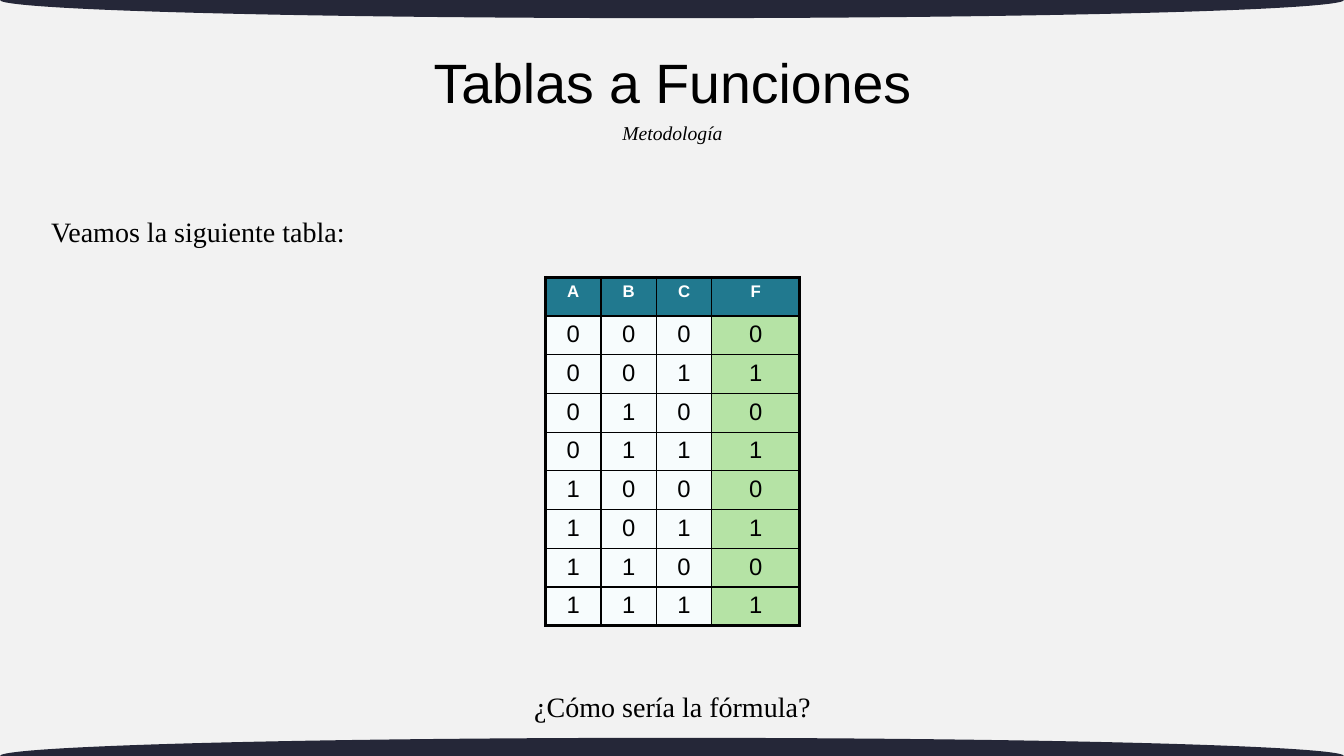
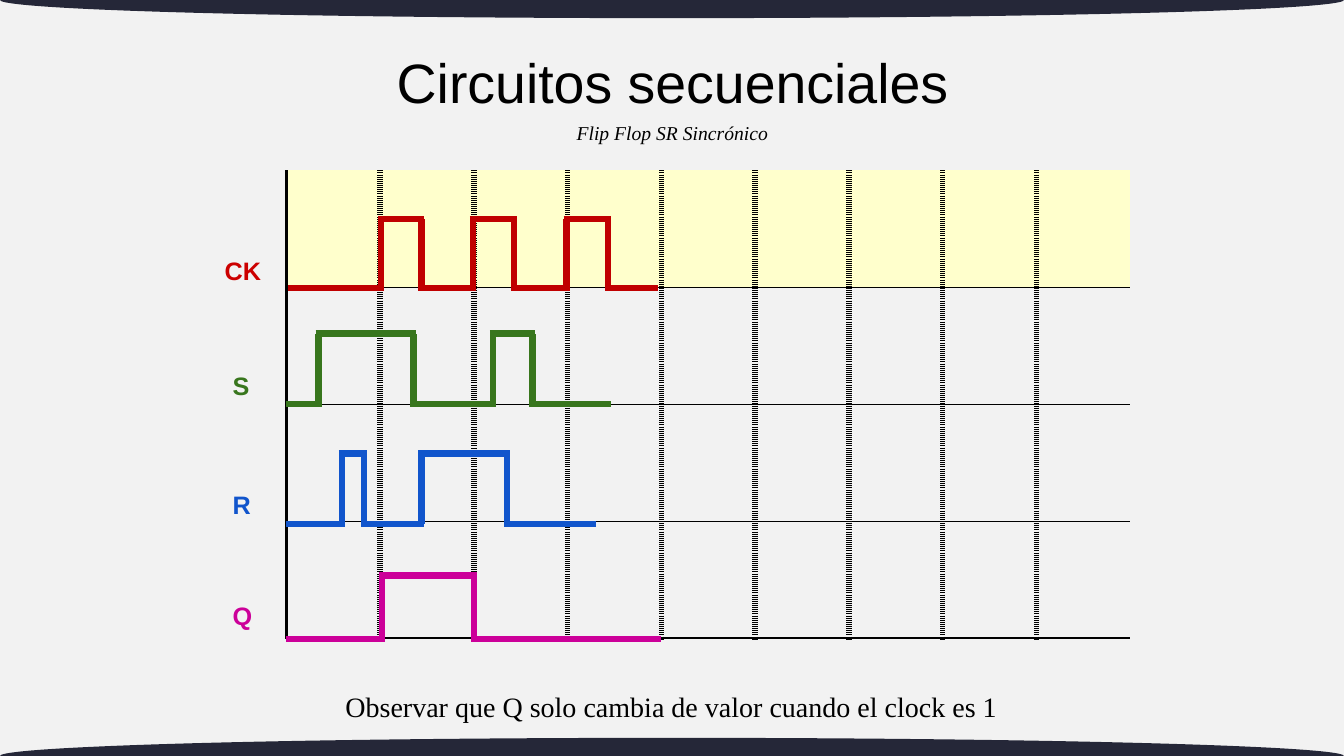
from itertools import product

from lxml import etree
from pptx import Presentation
from pptx.dml.color import RGBColor
from pptx.enum.shapes import MSO_CONNECTOR, MSO_SHAPE
from pptx.enum.text import MSO_ANCHOR, PP_ALIGN
from pptx.oxml.ns import qn
from pptx.util import Inches, Pt

STRAIGHT = MSO_CONNECTOR.STRAIGHT
OVAL = MSO_SHAPE.OVAL
TOP, MIDDLE = MSO_ANCHOR.TOP, MSO_ANCHOR.MIDDLE
LEFT, CENTER = PP_ALIGN.LEFT, PP_ALIGN.CENTER

SLIDE_W, SLIDE_H = 13.33, 7.5
BAND_H = 0.36
SANS, SERIF = "Arial", "Times New Roman"
COLORS = {
    "background": "F2F2F2", "band": "252738", "text": "000000",
    "header": "21798F", "header_text": "FFFFFF", "input": "F7FCFD",
    "output": "B5E3A5", "clock_row": "FFFFCC", "ck_label": "CC0000",
    "ck": "C00000", "s": "38761D", "r": "1155CC", "q": "CC0099",
}
THIN, THICK, DOTTED = (1, "solid"), (2.25, "solid"), (4.5, "dot")
NO_BORDER = None
WAVE_PT = 4.5
CORNER = 0.03

# name, label color, wave color, label offset, label width, low, high, start, edges, end
SIGNALS = (
    ("CK", "ck_label", "ck", (-0.71, 0.79), 0.56, 1.17, 0.48,
     0.02, (0.94, 1.34, 1.85, 2.26, 2.78, 3.19), 3.69),
    ("S", "s", "s", (-0.63, 1.93), 0.37, 2.32, 1.62,
     0, (0.32, 1.26, 2.05, 2.44), 3.22),
    ("R", "r", "r", (-0.63, 3.12), 0.38, 3.51, 2.81,
     0, (0.55, 0.77, 1.34, 2.19), 3.07),
    ("Q", "q", "q", (-0.63, 4.22), 0.4, 4.65, 4.02,
     0, (0.95, 1.86), 3.72),
)


def color(name):
    """Return the palette color with this name."""
    return RGBColor.from_string(COLORS[name])


def write(frame, text, size, font=SANS, ink="text", align=LEFT, bold=False,
          italic=False, spacing=None):
    """Write one styled run in the first paragraph of a text frame."""
    paragraph = frame.paragraphs[0]
    paragraph.alignment = align
    if spacing:
        paragraph.line_spacing = spacing
    run = paragraph.add_run()
    run.text = text
    run.font.name, run.font.size = font, Pt(size)
    run.font.bold, run.font.italic = bold, italic
    run.font.color.rgb = color(ink)


def add_text(slide, box, text, size, inset=0.05, anchor=TOP, wrap=True, **style):
    """Add a text box at (left, top, width, height) in inches."""
    frame = slide.shapes.add_textbox(*map(Inches, box)).text_frame
    frame.word_wrap = wrap
    frame.vertical_anchor = anchor
    frame.margin_left = frame.margin_right = Inches(0.1)
    frame.margin_top = frame.margin_bottom = Inches(inset)
    write(frame, text, size, **style)


def add_body(slide, box, text, align=CENTER):
    """Add a line of body text."""
    add_text(slide, box, text, 20, inset=0.1, font=SERIF, align=align, spacing=1.5)


def add_frame(prs, title, subtitle):
    """Add a slide with its two bands, title and subtitle."""
    slide = prs.slides.add_slide(prs.slide_layouts[6])
    for edge in (0, SLIDE_H):
        band = slide.shapes.add_shape(
            OVAL, 0, Inches(edge - BAND_H / 2), Inches(SLIDE_W), Inches(BAND_H))
        band.shadow.inherit = False
        band.fill.solid()
        band.fill.fore_color.rgb = color("band")
        band.line.fill.background()
    add_text(slide, (3.51, 0.38, 6.32, 0.94), title, 39.6, anchor=MIDDLE,
             align=CENTER, spacing=0.9)
    add_text(slide, (4.4, 1.15, 4.54, 0.34), subtitle, 14, font=SERIF,
             align=CENTER, italic=True)
    return slide


def set_borders(cell, left, right, top, bottom):
    """Set the four borders of a cell, before its fill."""
    properties = cell._tc.get_or_add_tcPr()
    for side, border in zip("LRTB", (left, right, top, bottom)):
        line = etree.SubElement(properties, qn(f"a:ln{side}"))
        if border is NO_BORDER:
            line.set("w", "0")
            etree.SubElement(line, qn("a:noFill"))
            continue
        width, dash = border
        line.set("w", str(Pt(width)))
        fill = etree.SubElement(line, qn("a:solidFill"))
        etree.SubElement(fill, qn("a:srgbClr"), val=COLORS["text"])
        etree.SubElement(line, qn("a:prstDash"), val=dash)


def set_fill(cell, name):
    """Fill a cell, or leave it clear when no color is named."""
    if name:
        cell.fill.solid()
        cell.fill.fore_color.rgb = color(name)
    else:
        cell.fill.background()


def add_grid(slide, left, top, widths, row_height, row_count):
    """Add an unstyled table with the given columns and equal rows."""
    grid = slide.shapes.add_table(
        row_count, len(widths), Inches(left), Inches(top),
        Inches(sum(widths)), Inches(row_height * row_count)).table
    grid.first_row = grid.horz_banding = False
    for column, width in zip(grid.columns, widths):
        column.width = Inches(width)
    for row in grid.rows:
        row.height = Inches(row_height)
    return grid


def add_truth_table(slide, left, top):
    """Add the truth table whose output F follows input C."""
    rows = [tuple("ABCF")] + [(a, b, c, c) for a, b, c in product((0, 1), repeat=3)]
    grid = add_grid(slide, left, top, (0.55, 0.55, 0.55, 0.87), 3.46 / 9, len(rows))
    last_row, last_col = len(rows) - 1, 3
    for r, values in enumerate(rows):
        for c, value in enumerate(values):
            cell = grid.cell(r, c)
            set_borders(cell, THICK if c == 0 else THIN,
                        THICK if c == last_col else THIN,
                        THICK if r == 0 else THIN,
                        THICK if r == last_row else THIN)
            if r == 0:
                set_fill(cell, "header")
                write(cell.text_frame, value, 12, ink="header_text",
                      align=CENTER, bold=True)
            else:
                set_fill(cell, "output" if c == last_col else "input")
                write(cell.text_frame, str(value), 17, align=CENTER)


def add_time_grid(slide, left, top):
    """Add the grid of clock periods behind the signals."""
    periods, signals = 9, len(SIGNALS)
    grid = add_grid(slide, left, top, (0.93,) * periods, 1.16, signals)
    for r, c in product(range(signals), range(periods)):
        cell = grid.cell(r, c)
        set_borders(cell, THICK if c == 0 else DOTTED,
                    NO_BORDER if c == periods - 1 else DOTTED,
                    NO_BORDER if r == 0 else THIN,
                    THICK if r == signals - 1 else THIN)
        set_fill(cell, "clock_row" if r == 0 else None)


def add_segment(slide, ink, x1, y1, x2, y2):
    """Add one straight piece of a signal."""
    segment = slide.shapes.add_connector(STRAIGHT, *map(Inches, (x1, y1, x2, y2)))
    segment.line.color.rgb = color(ink)
    segment.line.width = Pt(WAVE_PT)
    etree.SubElement(segment._element.spPr, qn("a:effectLst"))


def add_wave(slide, left, ink, low, high, start, edges, end):
    """Draw a signal that starts low and toggles at each edge."""
    stops = (start, *edges, end)
    for i, (x1, x2) in enumerate(zip(stops, stops[1:])):
        level = high if i % 2 else low
        before = CORNER if i else 0
        after = CORNER if i < len(edges) else 0
        add_segment(slide, ink, left + x1 - before, level, left + x2 + after, level)
    for x in edges:
        add_segment(slide, ink, left + x, low, left + x, high)


def add_timing_diagram(slide, left, top):
    """Add the grid, labels and waves of the timing diagram."""
    add_time_grid(slide, left, top)
    for name, label_ink, ink, (dx, dy), width, low, high, start, edges, end in SIGNALS:
        add_text(slide, (left + dx, top + dy, width, 0.4), name, 18,
                 wrap=False, ink=label_ink, bold=True)
        add_wave(slide, left, ink, top + low, top + high, start, edges, end)


def build_table_slide(prs):
    """Build the slide that goes from a table to a function."""
    slide = add_frame(prs, "Tablas a Funciones", "Metodología")
    add_body(slide, (0.41, 1.86, 11.94, 0.52), "Veamos la siguiente tabla:", LEFT)
    add_truth_table(slide, 5.41, 2.75)
    add_body(slide, (0.7, 6.57, 11.94, 0.52), "¿Cómo sería la fórmula?")


def build_timing_slide(prs):
    """Build the slide of the clocked flip-flop."""
    slide = add_frame(prs, "Circuitos secuenciales", "Flip Flop SR Sincrónico")
    add_timing_diagram(slide, 2.84, 1.69)
    add_body(slide, (0.56, 6.57, 12.2, 0.56),
             "Observar que Q solo cambia de valor cuando el clock es 1")


def main():
    """Build and save the presentation."""
    prs = Presentation()
    prs.slide_width, prs.slide_height = Inches(SLIDE_W), Inches(SLIDE_H)
    backdrop = prs.slide_master.background.fill
    backdrop.solid()
    backdrop.fore_color.rgb = color("background")
    build_table_slide(prs)
    build_timing_slide(prs)
    prs.save("out.pptx")


if __name__ == "__main__":
    main()
